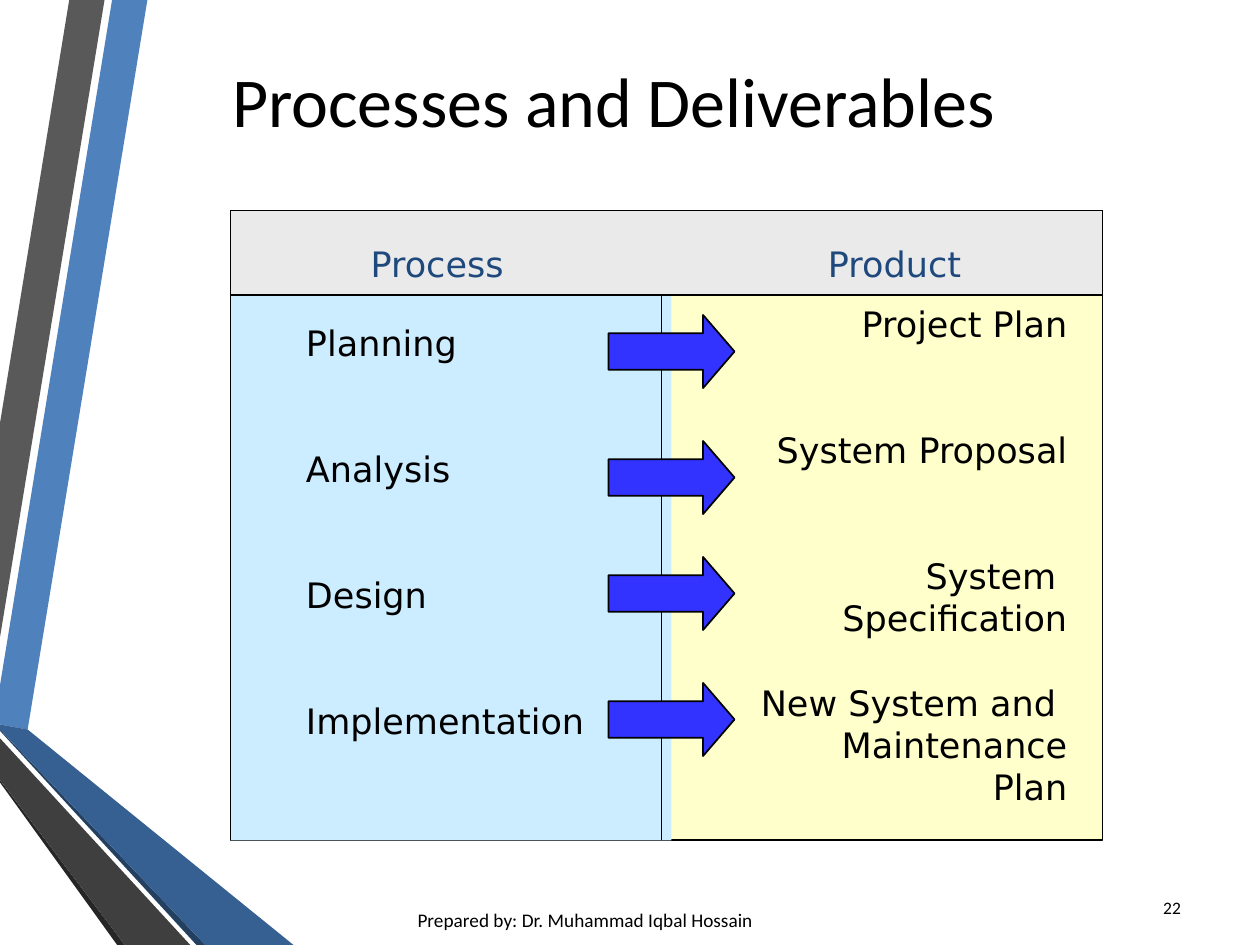
import pptx
import pptx.dml.color
import pptx.enum.shapes
import pptx.enum.text
import pptx.oxml
import pptx.util

Inches = pptx.util.Inches
Pt = pptx.util.Pt
Align = pptx.enum.text.PP_ALIGN
Anchor = pptx.enum.text.MSO_ANCHOR
Shape = pptx.enum.shapes.MSO_SHAPE

RIBBONS = [
    ("4F81BD", [(0, 5.44), (0, 5.75), (0.22, 5.79), (1.17, 0), (0.89, 0)]),
    ("595959", [(0.83, 0), (0.55, 0), (0, 3.36), (0, 5.06)]),
    ("262626", [(0, 6.19), (0, 6.21), (0.93, 7.5), (0.99, 7.5)]),
    ("244061", [(0, 5.79), (0, 5.8), (1.56, 7.5), (1.63, 7.5)]),
    ("366092", [(0, 5.79), (1.63, 7.5), (2.33, 7.5), (0.22, 5.79), (0, 5.75)]),
    ("3F3F3F", [(0, 6.19), (0.99, 7.5), (1.51, 7.5), (0, 5.86)]),
]
PROCESSES = [("Planning", 0), ("Analysis", 2), ("Design", 2), ("Implementation", 2)]
PRODUCTS = [
    ("Project Plan", 0),
    ("System Proposal", 2),
    ("System ", 2),
    ("Specification", 0),
    ("New System and ", 1),
    ("Maintenance Plan", 0),
]
LINE_HEIGHT = 24


def color(value):
    return pptx.dml.color.RGBColor.from_string(value)


def style_shape(shape, fill, outline=None):
    shape.shadow.inherit = False
    shape.fill.solid()
    shape.fill.fore_color.rgb = color(fill)
    if outline:
        shape.line.color.rgb = color(outline)
        shape.line.width = Pt(1)
    else:
        shape.line.fill.background()


def add_block(slide, kind, left, top, width, height, fill, outline=None):
    shape = slide.shapes.add_shape(
        kind, Inches(left), Inches(top), Inches(width), Inches(height))
    style_shape(shape, fill, outline)
    return shape


def add_vertical_line(slide, left, top, bottom):
    line = slide.shapes.add_connector(
        pptx.enum.shapes.MSO_CONNECTOR.STRAIGHT,
        Inches(left), Inches(top), Inches(left), Inches(bottom))
    line.line.color.rgb = color("000000")
    line.line.width = Pt(1)
    properties = line._element.spPr
    properties.append(properties.makeelement(pptx.oxml.ns.qn("a:effectLst"), {}))


def write_text(shape, entries, size=20, font="DejaVu Sans", fill="000000",
               align=Align.CENTER, anchor=Anchor.MIDDLE, line_height=None):
    frame = shape.text_frame
    frame.word_wrap = True
    frame.vertical_anchor = anchor
    frame.margin_left = frame.margin_right = Inches(0.1)
    frame.margin_top = frame.margin_bottom = Inches(0.05)
    for index, (text, gap_lines) in enumerate(entries):
        paragraph = frame.add_paragraph() if index else frame.paragraphs[0]
        paragraph.alignment = align
        if line_height:
            paragraph.line_spacing = Pt(line_height)
            paragraph.space_before = Pt(gap_lines * line_height)
        run = paragraph.add_run()
        run.text = text
        run.font.size = Pt(size)
        run.font.name = font
        run.font.color.rgb = color(fill)


def add_text(slide, entries, left, top, width, height, **text_format):
    box = slide.shapes.add_textbox(
        Inches(left), Inches(top), Inches(width), Inches(height))
    write_text(box, entries, **text_format)


def add_ribbons(slide, left, top):
    for fill, points in RIBBONS:
        corners = [(Inches(left + x), Inches(top + y)) for x, y in points]
        builder = slide.shapes.build_freeform(*corners[0])
        builder.add_line_segments(corners[1:], close=True)
        style_shape(builder.convert_to_shape(), fill)


def add_title(slide, left, top, width, height):
    title = slide.shapes.title
    title.left, title.top = Inches(left), Inches(top)
    title.width, title.height = Inches(width), Inches(height)
    write_text(title, [("Processes and Deliverables", 0)], size=40, font="Calibri")


def add_process_chart(slide, left, top, width, height):
    header_height = 0.67
    body_top = top + header_height
    bottom = top + height
    process_width = 3.5
    add_block(slide, Shape.RECTANGLE, left, top, width, height, "FFFFCC", "000000")
    add_block(slide, Shape.RECTANGLE, left, body_top, process_width,
              height - header_height, "CCECFF")
    add_block(slide, Shape.RECTANGLE, left, top, width, header_height,
              "EAEAEA", "000000")

    for heading, offset in (("Process", 0.86), ("Product", 4.49)):
        add_text(slide, [(heading, 0)], left + offset, top + 0.16, 1.56, 0.52,
                 fill="1F497D")
    add_text(slide, PROCESSES, left + 0.5, top + 0.83, 2.42, 3.43,
             align=Align.LEFT, line_height=LINE_HEIGHT)
    add_text(slide, PRODUCTS, left + 4.09, top + 0.52, 2.65, 4.43,
             align=Align.RIGHT, line_height=LINE_HEIGHT)

    for offset in (0, 3.42):
        add_vertical_line(slide, left + offset, body_top, bottom)
    for offset in (0.83, 1.83, 2.75, 3.75):
        arrow = add_block(slide, Shape.RIGHT_ARROW, left + process_width - 0.5,
                          top + offset, 1, 0.58, "3333FF", "000000")
        arrow.adjustments[0] = 0.5
        arrow.adjustments[1] = 0.43


def add_footer(slide, left, top, width, height):
    add_text(slide, [("Prepared by: Dr. Muhammad Iqbal Hossain", 0)],
             left, top, 6.81, height, size=11, font="Calibri")
    add_text(slide, [("22", 0)], left + width - 0.45, top - 0.03, 0.45, height,
             size=10, font="Calibri", align=Align.RIGHT, anchor=Anchor.TOP)


def main():
    presentation = pptx.Presentation()
    presentation.slide_width = Inches(10)
    presentation.slide_height = Inches(7.5)
    slide = presentation.slides.add_slide(presentation.slide_layouts[5])
    add_ribbons(slide, 0, 0)
    add_title(slide, 0.62, 0.33, 8.5, 0.92)
    add_process_chart(slide, 1.83, 1.67, 6.92, 5)
    add_footer(slide, 1.24, 7.1, 8.23, 0.4)
    presentation.save("out.pptx")


if __name__ == "__main__":
    main()
